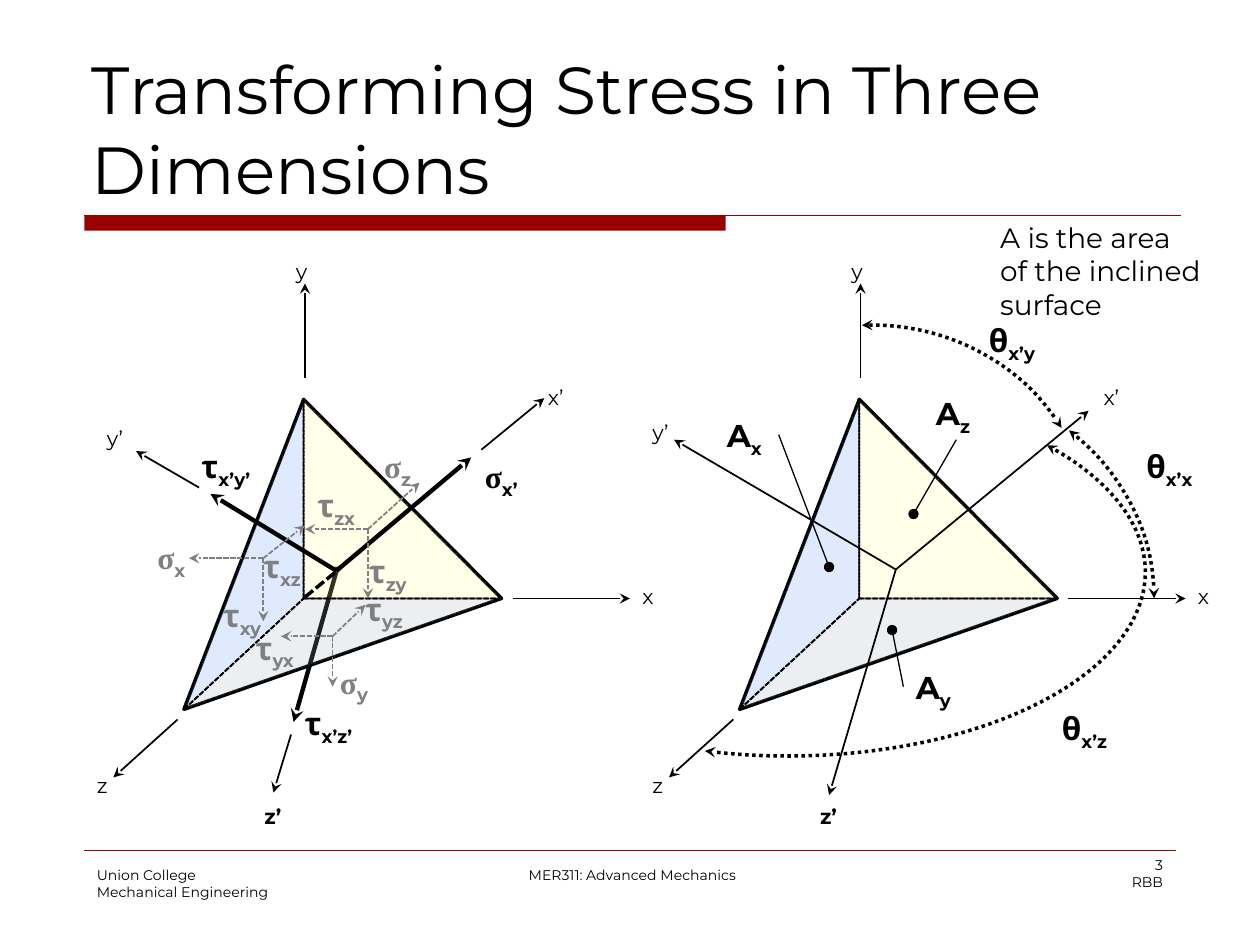
from dataclasses import dataclass
from lxml import etree
from pptx import Presentation
from pptx.dml.color import RGBColor
from pptx.enum.dml import MSO_LINE
from pptx.enum.shapes import MSO_CONNECTOR, MSO_SHAPE
from pptx.enum.text import MSO_ANCHOR, PP_ALIGN
from pptx.oxml.ns import qn
from pptx.util import Inches, Pt

STRAIGHT = MSO_CONNECTOR.STRAIGHT
RECTANGLE, ARC = MSO_SHAPE.RECTANGLE, MSO_SHAPE.ARC
DASH, DOT = MSO_LINE.SQUARE_DOT, MSO_LINE.ROUND_DOT
LEFT, CENTER, RIGHT = PP_ALIGN.LEFT, PP_ALIGN.CENTER, PP_ALIGN.RIGHT
TOP = MSO_ANCHOR.TOP


@dataclass(frozen=True)
class Theme:
    font: str = "Montserrat"
    greek: str = "Times New Roman"
    ink: str = "000000"
    muted: str = "808080"
    accent: str = "990000"
    blue: str = "6699FF"
    yellow: str = "FFFF99"
    slate: str = "A3B2C1"
    title: int = 38
    note: int = 16
    symbol: int = 18
    axis: int = 12
    footer: int = 8


T = Theme()


def style_line(line, color, width, dash=None, head=None, tail=None):
    line.color.rgb = RGBColor.from_string(color)
    line.width = Pt(width)
    if dash:
        line.dash_style = dash
    ln = line._get_or_add_ln()
    for tag, kind in (("a:headEnd", head), ("a:tailEnd", tail)):
        if kind:
            etree.SubElement(ln, qn(tag)).set("type", kind)


def add_line(s, box, start, end, color=T.ink, width=1, dash=None, tail="stealth"):
    x, y = box
    ends = (x + start[0], y + start[1], x + end[0], y + end[1])
    c = s.shapes.add_connector(STRAIGHT, *(Inches(v) for v in ends))
    etree.SubElement(c._element.spPr, qn("a:effectLst"))
    style_line(c.line, color, width, dash, tail=tail)


def add_text(s, box, lines, size, color=T.ink, align=LEFT, wrap=True):
    tf = s.shapes.add_textbox(*(Inches(v) for v in box)).text_frame
    tf.word_wrap = wrap
    tf.vertical_anchor = TOP
    for i, line in enumerate(lines):
        p = tf.paragraphs[0] if i == 0 else tf.add_paragraph()
        p.alignment = align
        for text, extra in line if isinstance(line, list) else [(line, {})]:
            r = p.add_run()
            r.text = text
            fmt = {"name": T.font, "size": Pt(size)} | extra
            sub = fmt.pop("sub", False)
            for name, value in fmt.items():
                setattr(r.font, name, value)
            r.font.color.rgb = RGBColor.from_string(color)
            if sub:
                r.font._element.set("baseline", "-25000")


def add_symbol(s, box, at, width, base, sub, color=T.ink):
    font = T.greek if base == "σ" else T.font
    runs = [(base, {"bold": True, "name": font}), (sub, {"bold": True, "sub": True})]
    frame = (box[0] + at[0], box[1] + at[1], width, 0.4)
    add_text(s, frame, [runs], T.symbol, color, wrap=False)


def add_axis_label(s, box, at, text):
    width = 0.42 if len(text) > 1 else 0.33
    run = (text, {"bold": text == "z’"})
    add_text(s, (box[0] + at[0], box[1] + at[1], width, 0.3), [[run]], T.axis)


def add_triangle(s, box, points, width, dash=None, fill=None):
    pts = [(Inches(box[0] + x), Inches(box[1] + y)) for x, y in points]
    fb = s.shapes.build_freeform(*pts[0])
    fb.add_line_segments(pts[1:], close=True)
    sp = fb.convert_to_shape()
    sp.shadow.inherit = False
    if fill:
        sp.fill.solid()
        sp.fill.fore_color.rgb = RGBColor.from_string(fill)
        color = sp._element.spPr.find(qn("a:solidFill"))[0]
        etree.SubElement(color, qn("a:alpha")).set("val", "20000")
    else:
        sp.fill.background()
    style_line(sp.line, T.ink, width, dash)


def add_angle(s, box, frame, start, end):
    x, y, w, h = frame
    sp = s.shapes.add_shape(ARC, *(Inches(v) for v in (box[0] + x, box[1] + y, w, h)))
    sp.shadow.inherit = False
    sp.fill.background()
    sp.adjustments[0], sp.adjustments[1] = start * 0.6, end * 0.6
    style_line(sp.line, T.ink, 2, DOT, "stealth", "stealth")


def add_header(s, box):
    x, y, w, h = box
    add_text(s, (x - 0.04, y, w + 0.05, h), ["Transforming Stress in Three Dimensions"], T.title)
    rule = y + 1.38
    bar = s.shapes.add_shape(RECTANGLE, *(Inches(v) for v in (x, rule, 5.09, 0.12)))
    bar.shadow.inherit = False
    bar.fill.solid()
    bar.fill.fore_color.rgb = RGBColor.from_string(T.accent)
    bar.line.fill.background()
    add_line(s, (x, rule), (0, 0), (w, 0), T.accent, 0.75, tail=None)


def add_footer(s, box):
    x, y, w = box
    add_line(s, (x, y), (0, 0), (w, 0), T.accent, 0.25, tail=None)
    add_text(s, (x, y + 0.08, 2.08, 0.5), ["Union College", "Mechanical Engineering"], T.footer)
    add_text(s, (x + 3.14, y + 0.08, 2.42, 0.24), ["MER311: Advanced Mechanics"], T.footer, align=CENTER)
    add_text(s, (x + w - 2.33, y, 2.33, 0.4), ["3", "RBB"], T.footer, align=RIGHT)


def add_tetrahedron(s, box):
    apex, right, foot, corner = (1.74, 1.17), (3.31, 2.75), (0.79, 3.63), (1.74, 2.75)
    add_triangle(s, box, (foot, apex, right), 2)
    for points, fill in (((foot, corner, apex), T.blue),
                         ((corner, apex, right), T.yellow),
                         ((corner, right, foot), T.slate)):
        add_triangle(s, box, points, 1, DASH, fill)
    for start, end in (((1.75, 1), (1.75, 0.25)), ((3.4, 2.75), (4.33, 2.75)),
                       ((0.74, 3.71), (0.23, 4.17))):
        add_line(s, box, start, end)
    for text, at in (("x", (4.33, 2.58)), ("y", (1.58, 0)), ("z", (0, 4.08)),
                     ("x’", (3.58, 1)), ("z’", (1.33, 4.33))):
        add_axis_label(s, box, at, text)


def add_stress_panel(s, box):
    add_line(s, box, (2.01, 2.5), (1.66, 3.73), width=2.5)
    add_tetrahedron(s, box)
    add_axis_label(s, box, (0.08, 1.33), "y’")
    for start, end in (((3.15, 1.57), (3.65, 1.16)), ((0.91, 1.87), (0.41, 1.58)),
                       ((1.64, 3.83), (1.5, 4.29))):
        add_line(s, box, start, end)
    add_line(s, box, (1.75, 2.74), (2.03, 2.51), width=2, dash=DASH, tail=None)
    for end in ((3.07, 1.63), (1, 1.92)):
        add_line(s, box, (2, 2.53), end, width=2.5)
    for start, ends in (((1.97, 3.05), ((2.23, 2.8), (1.56, 3.05), (1.97, 3.45))),
                        ((2.25, 2.2), ((2.66, 1.83), (1.75, 2.2), (2.25, 2.75))),
                        ((1.42, 2.43), ((1.75, 2.17), (0.83, 2.43), (1.42, 2.93)))):
        for end in ends:
            add_line(s, box, start, end, T.muted, dash=DASH)
    for base, sub, at, width in (
            ("σ", "x", (0.48, 2.22), 0.45), ("σ", "y", (1.93, 3.21), 0.44),
            ("σ", "z", (2.28, 1.5), 0.43), ("τ", "xy", (1, 2.68), 0.53),
            ("τ", "xz", (1.32, 2.29), 0.52), ("τ", "yz", (2.13, 2.63), 0.54),
            ("τ", "zx", (1.75, 1.81), 0.53), ("τ", "zy", (2.16, 2.33), 0.51),
            ("τ", "yx", (1.26, 2.94), 0.53)):
        add_symbol(s, box, at, width, base, sub, T.muted)
    for base, sub, at, width in (("σ", "x’", (3.08, 1.58), 0.5),
                                 ("τ", "x’z’", (1.65, 3.54), 0.61),
                                 ("τ", "x’y’", (0.83, 1.5), 0.62)):
        add_symbol(s, box, at, width, base, sub)


def add_area_panel(s, box):
    add_tetrahedron(s, box)
    add_axis_label(s, box, (0, 1.28), "y’")
    for end in ((3.56, 1.26), (0.27, 1.49), (1.5, 4.31)):
        add_line(s, box, (2.03, 2.52), end)
    add_angle(s, box, (0.09, 0.58, 3.5, 3.33), 267.3, 330.6)
    add_angle(s, box, (0.25, 1, 3.83, 3.5), 312.9, 0)
    add_angle(s, box, (-1.66, 1.08, 5.67, 2.92), 333.9, 114.9)
    for sub, at in (("x’y", (2.67, 0.5)), ("x’x", (3.92, 1.5)), ("x’z", (3.25, 3.58))):
        add_symbol(s, box, at, 0.6, "θ", sub)
    for sub, at, start, end in (("x", (0.59, 1.25), (1.1, 1.45), (1.5, 2.5)),
                                ("z", (2.25, 1.08), (2.51, 1.49), (2.17, 2.08)),
                                ("y", (2.09, 3.25), (2.09, 3.45), (2, 3))):
        add_symbol(s, box, at, 0.51, "A", sub)
        add_line(s, box, start, end, width=0.75, tail="oval")
    note = ["A is the area", "of the inclined", "surface"]
    add_text(s, (box[0] + 2.76, box[1] - 0.3, 1.97, 0.91), note, T.note, wrap=False)


def main():
    prs = Presentation()
    prs.slide_width, prs.slide_height = Inches(10), Inches(7.5)
    s = prs.slides.add_slide(prs.slide_layouts[6])
    add_header(s, (0.67, 0.33, 8.7, 1.33))
    add_stress_panel(s, (0.67, 2))
    add_area_panel(s, (5.08, 2))
    add_footer(s, (0.67, 6.75, 8.66))
    prs.save("out.pptx")


if __name__ == "__main__":
    main()
